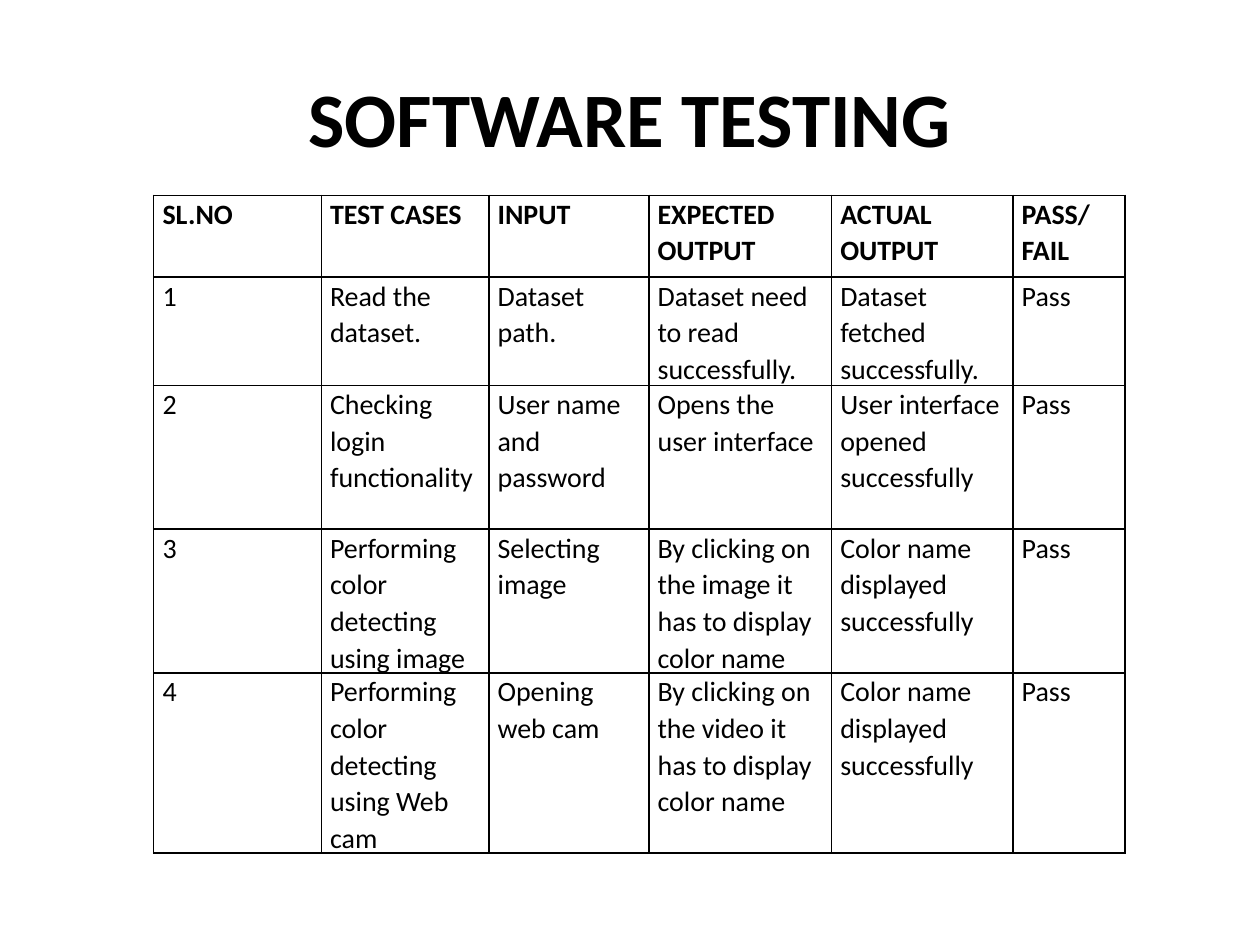
from lxml.etree import SubElement
from pptx import Presentation
from pptx.dml.color import RGBColor
from pptx.enum.text import MSO_ANCHOR, PP_ALIGN
from pptx.oxml.ns import qn
from pptx.util import Inches, Pt

BLACK = RGBColor(0x00, 0x00, 0x00)
FACE = "Calibri"
COLS = [1.33, 1.33, 1.27, 1.45, 1.44, 0.89]
ROWS = [0.65, 0.86, 1.14, 1.14, 1.43]
HEAD = ["SL.NO", "TEST CASES", "INPUT", "EXPECTED OUTPUT", "ACTUAL OUTPUT", "PASS/FAIL"]
CASES = [
    ["Read the dataset.", "Dataset path.",
     "Dataset need to read successfully.", "Dataset fetched successfully."],
    ["Checking login functionality", "User name and password",
     "Opens the user interface", "User interface opened successfully"],
    ["Performing color detecting using image", "Selecting image",
     "By clicking on the image it has to display color name",
     "Color name displayed successfully"],
    ["Performing color detecting using Web cam", "Opening web cam",
     "By clicking on the video it has to display color name",
     "Color name displayed successfully"],
]
CELL = {"margin_left": Inches(0.07), "margin_right": Inches(0.07),
        "margin_top": 0, "margin_bottom": 0}


def put(item, form):
    for name, value in form.items():
        setattr(item, name, value)


def write(frame, text, size, bold, form):
    par = frame.paragraphs[0]
    put(par, form)
    run = par.add_run()
    run.text = text
    put(run.font, {"name": FACE, "size": Pt(size), "bold": bold})
    run.font.color.rgb = BLACK


def add_title(slide, text):
    box = slide.shapes.add_textbox(Inches(0.5), Inches(0.3), Inches(9), Inches(1.25))
    put(box.text_frame, {"word_wrap": True, "vertical_anchor": MSO_ANCHOR.MIDDLE})
    write(box.text_frame, text, 44, True, {"alignment": PP_ALIGN.CENTER})


def add_lines(cell):
    props = cell._tc.get_or_add_tcPr()
    for side in ("lnL", "lnR", "lnT", "lnB"):
        line = SubElement(props, qn("a:" + side), w=str(Pt(1)))
        fill = SubElement(line, qn("a:solidFill"))
        SubElement(fill, qn("a:srgbClr"), val=str(BLACK))


def add_grid(slide, rows):
    frame = slide.shapes.add_table(len(ROWS), len(COLS), Inches(1.22), Inches(1.55),
                                   Inches(sum(COLS)), Inches(sum(ROWS)))
    table = frame.table
    put(table, {"first_row": False, "horz_banding": False})
    for col, width in zip(table.columns, COLS):
        col.width = Inches(width)
    for row, height in zip(table.rows, ROWS):
        row.height = Inches(height)
    for r, row in enumerate(rows):
        for c, text in enumerate(row):
            cell = table.cell(r, c)
            put(cell, CELL)
            add_lines(cell)
            cell.fill.background()
            write(cell.text_frame, text, 16, r == 0, {"line_spacing": 1.07})


def main():
    deck = Presentation()
    put(deck, {"slide_width": Inches(10), "slide_height": Inches(7.5)})
    slide = deck.slides.add_slide(deck.slide_layouts[6])

    # Heading
    add_title(slide, "SOFTWARE TESTING")

    # Test cases, numbered from 1, all passed
    rows = [[str(n), *case, "Pass"] for n, case in enumerate(CASES, 1)]
    add_grid(slide, [HEAD] + rows)

    deck.save("out.pptx")


if __name__ == "__main__":
    main()
